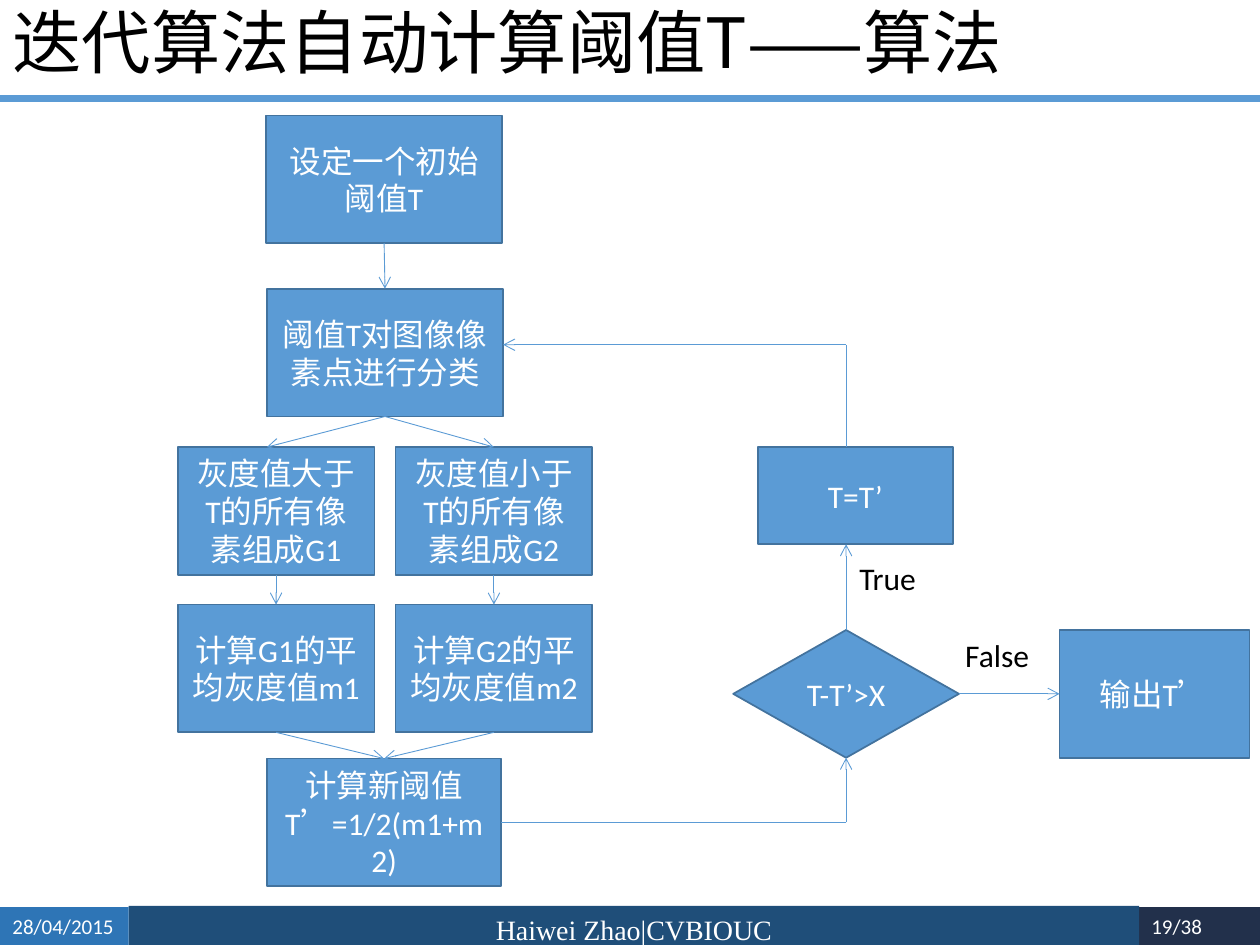
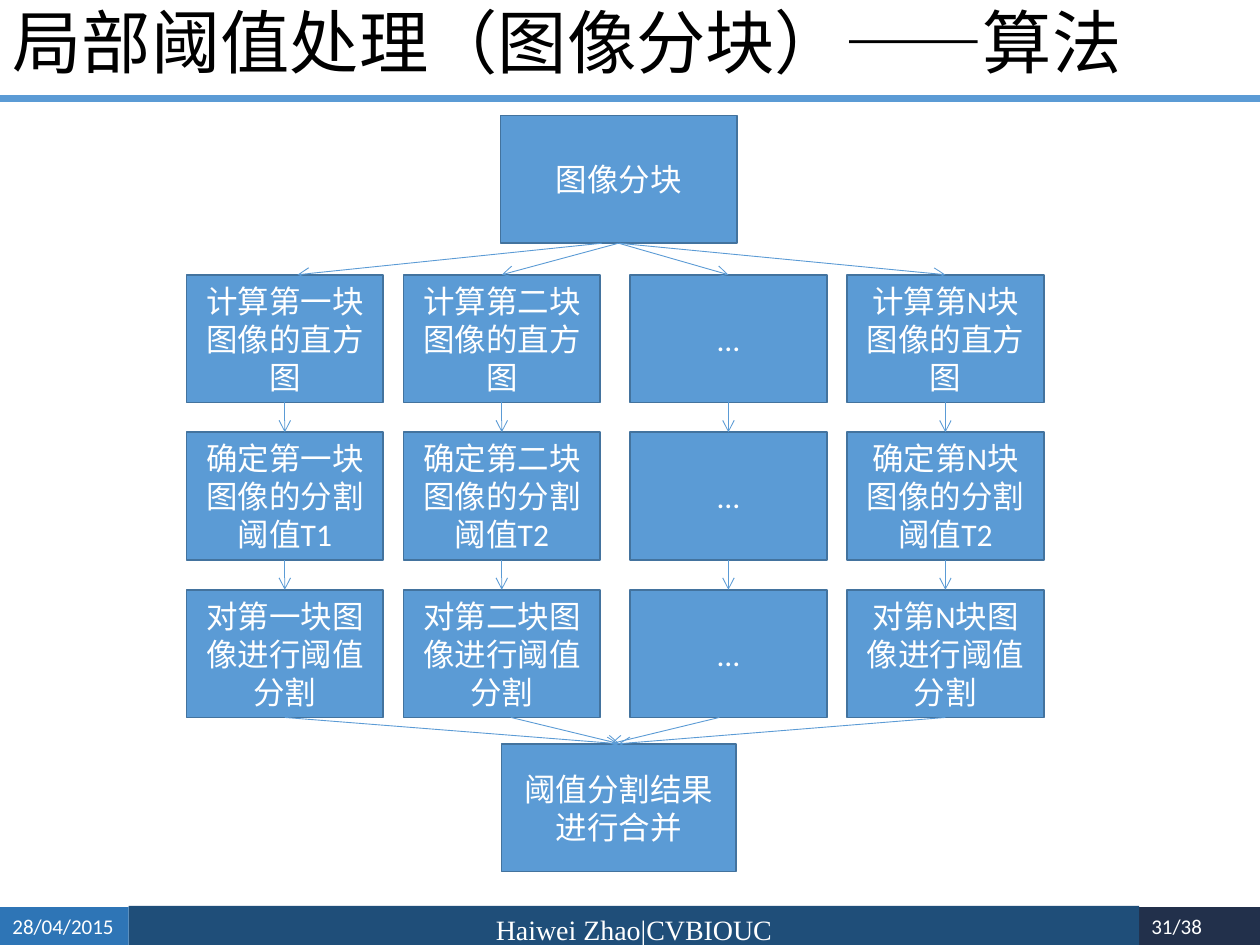
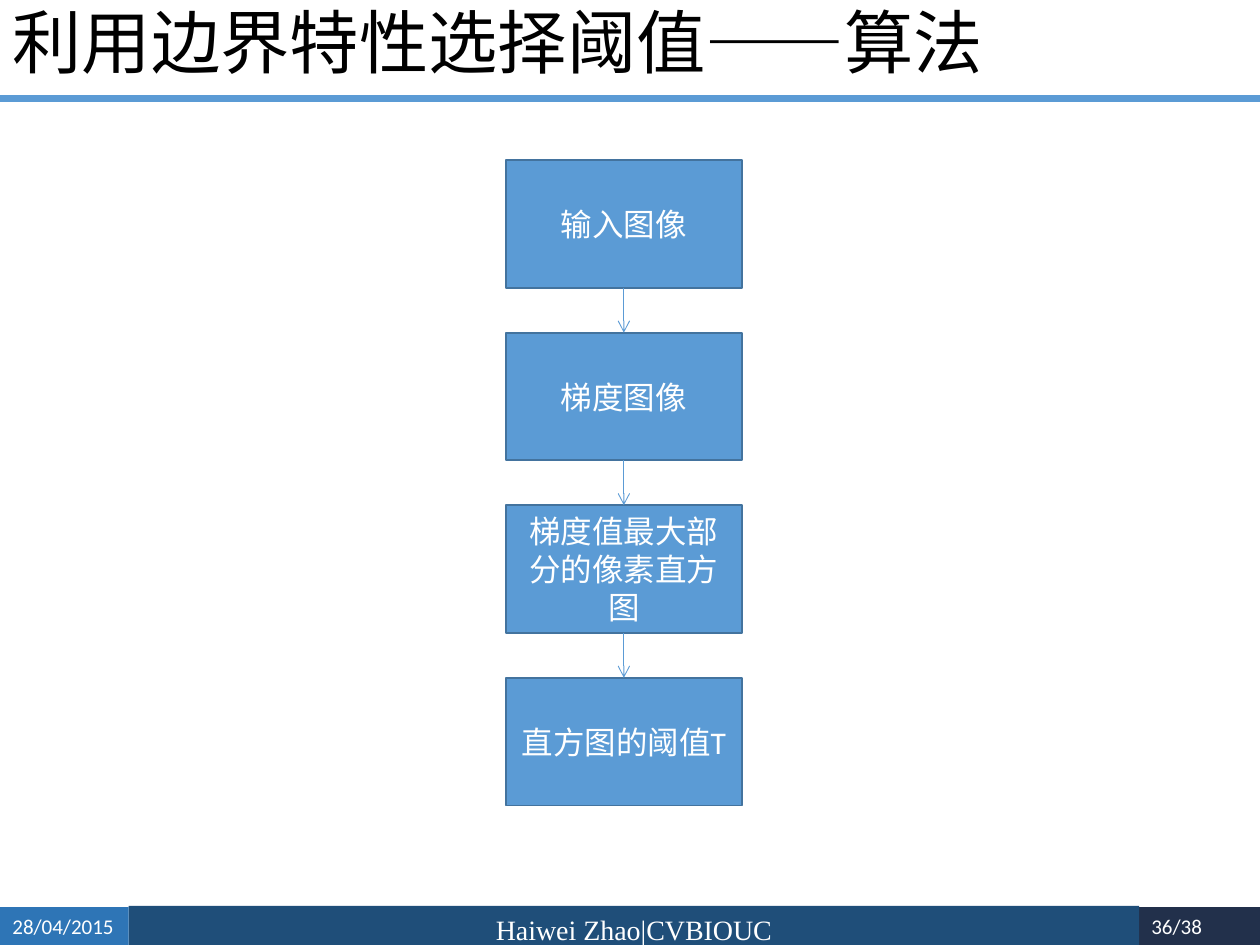
import lxml.etree
import pptx
import pptx.dml.color
import pptx.enum.shapes
import pptx.enum.text
import pptx.oxml.ns
import pptx.util

WHITE = pptx.dml.color.RGBColor(0xFF, 0xFF, 0xFF)
BLACK = pptx.dml.color.RGBColor(0x00, 0x00, 0x00)
BLUE = pptx.dml.color.RGBColor(0x5B, 0x9B, 0xD5)
BOX_EDGE = pptx.dml.color.RGBColor(0x43, 0x73, 0x9E)
DATE_BLUE = pptx.dml.color.RGBColor(0x2E, 0x75, 0xB6)
AUTHOR_BLUE = pptx.dml.color.RGBColor(0x1F, 0x4E, 0x79)
PAGE_NAVY = pptx.dml.color.RGBColor(0x22, 0x30, 0x4B)

LATIN_FONT = "Calibri"
CHINESE_FONT = "Noto Sans CJK SC"
FONT_SWITCH = "¦"
TOP, LEFT, BOTTOM, RIGHT = range(4)
ALIGN = pptx.enum.text.PP_ALIGN
ANCHOR = pptx.enum.text.MSO_ANCHOR
SHAPE = pptx.enum.shapes.MSO_SHAPE
BOX_HEIGHT = 73
NARROW = 112.5
WIDE = 135


def write_text(shape, text, size=18, color=WHITE, font=LATIN_FONT,
               align=ALIGN.CENTER, anchor=ANCHOR.MIDDLE, spacing=None):
    frame = shape.text_frame
    frame.word_wrap = True
    frame.auto_size = pptx.enum.text.MSO_AUTO_SIZE.NONE
    frame.vertical_anchor = anchor
    paragraph = frame.paragraphs[0]
    paragraph.alignment = align
    paragraph.line_spacing = spacing
    for index, part in enumerate(text.split(FONT_SWITCH)):
        run = paragraph.add_run()
        run.text = part
        run.font.size = pptx.util.Pt(size)
        run.font.color.rgb = color
        run.font.name = CHINESE_FONT if index % 2 else font
        east_asian = lxml.etree.SubElement(run.font._element, pptx.oxml.ns.qn("a:ea"))
        east_asian.set("typeface", CHINESE_FONT)


def draw_line(slide, shapes, start, end, width=0.5, arrow=True):
    ends = [(0, 0) if point[0] in shapes else point for point in (start, end)]
    connector = slide.shapes.add_connector(
        pptx.enum.shapes.MSO_CONNECTOR.STRAIGHT,
        *[pptx.util.Pt(value) for point in ends for value in point])
    if start[0] in shapes:
        connector.begin_connect(shapes[start[0]], start[1])
    if end[0] in shapes:
        connector.end_connect(shapes[end[0]], end[1])
    connector.line.color.rgb = BLUE
    connector.line.width = pptx.util.Pt(width)
    if arrow:
        outline = connector.line._get_or_add_ln()
        lxml.etree.SubElement(outline, pptx.oxml.ns.qn("a:tailEnd")).set("type", "arrow")
    lxml.etree.SubElement(connector._element.spPr, pptx.oxml.ns.qn("a:effectLst"))


iteration_boxes = {
    "initial": ("设定一个初始阈值T", 152, 66, WIDE, BOX_HEIGHT),
    "classify": ("阈值T对图像像素点进行分类", 152.5, 165, WIDE, BOX_HEIGHT),
    "group 1": ("灰度值大于T的所有像素组成G1", 101.5, 255.5, NARROW, BOX_HEIGHT),
    "group 2": ("灰度值小于T的所有像素组成G2", 226, 255.5, NARROW, BOX_HEIGHT),
    "mean 1": ("计算G1的平均灰度值m1", 101.5, 345.5, NARROW, BOX_HEIGHT),
    "mean 2": ("计算G2的平均灰度值m2", 226, 345.5, NARROW, BOX_HEIGHT),
    "new": ("计算新阈值T¦’¦=1/2(m1+m2)", 152.5, 433.5, WIDE - 1, BOX_HEIGHT),
    "test": ("T-T’>X", 419, 360, 129, BOX_HEIGHT),
    "update": ("T=T’", 433, 255.5, 111.5, 55.5),
    "output": ("输出T¦’", 605.5, 360, 108.5, BOX_HEIGHT),
}
iteration_links = [
    (("initial", BOTTOM), ("classify", TOP)),
    (("classify", BOTTOM), (152.5, 255.5)),
    (("classify", BOTTOM), ("group 2", TOP)),
    (("group 1", BOTTOM), ("mean 1", TOP)),
    (("group 2", BOTTOM), ("mean 2", TOP)),
    (("mean 1", BOTTOM), ("new", TOP)),
    (("mean 2", BOTTOM), ("new", TOP)),
    (("new", RIGHT), (483.5, 470), 0.5, False),
    ((483.5, 470), ("test", BOTTOM)),
    (("test", TOP), (483.5, 311)),
    (("test", RIGHT), ("output", LEFT)),
    ((483.5, 255.5), (483.5, 197), 0.5, False),
    ((483.5, 197), (287.5, 197)),
]
iteration_labels = [("True", 484, 316), ("False", 544.5, 360)]

block_boxes = {
    "split": ("图像分块", 286, 66, WIDE, BOX_HEIGHT),
    "merge": ("阈值分割结果进行合并", 286.5, 425, WIDE - 1, BOX_HEIGHT),
}
block_links = []
block_columns = [
    (106.5, "一", "T1", (344, 139), (170, 157), ("block 0 2", BOTTOM), ("merge", TOP)),
    (230.5, "二", "T2", ("split", BOTTOM), ("block 1 0", TOP), (292, 410), (354, 425)),
    (360, "", "", ("split", BOTTOM), ("block 2 0", TOP), (411, 410), (349, 425)),
    (484, "N", "T2", ("split", BOTTOM), ("block 3 0", TOP), ("block 3 2", BOTTOM), ("merge", TOP)),
]
block_steps = ["计算第{}块图像的直方图", "确定第{}块图像的分割阈值{}", "对第{}块图像进行阈值分割"]
for column, (left, number, threshold, fan_start, fan_end, join_start, join_end) in enumerate(block_columns):
    for row, step in enumerate(block_steps):
        text = step.format(number, threshold) if number else "…"
        block_boxes[f"block {column} {row}"] = (text, left, 157 + 90 * row, NARROW, BOX_HEIGHT)
        if row:
            block_links.append(((f"block {column} {row - 1}", BOTTOM), (f"block {column} {row}", TOP)))
    block_links += [(fan_start, fan_end), (join_start, join_end)]

edge_steps = ["输入图像", "梯度图像", "梯度值最大部分的像素直方图", "直方图的阈值T"]
edge_boxes = {step: (step, 289, 91.5 + 98.6 * row, WIDE, BOX_HEIGHT)
              for row, step in enumerate(edge_steps)}
edge_links = [((upper, BOTTOM), (lower, TOP)) for upper, lower in zip(edge_steps, edge_steps[1:])]

slides = [
    ("迭代算法¦自动计算阈值T——算法", "19/38", iteration_boxes, iteration_links, iteration_labels),
    ("局部阈值处理（图像分块）——算法", "31/38", block_boxes, block_links, []),
    ("利用边界特性选择阈值——算法", "36/38", edge_boxes, edge_links, []),
]
footer_bands = [
    (651, 518.4, 69, 21.6, PAGE_NAVY, "", {}),
    (73.5, 517.7, 577.5, 26.5, AUTHOR_BLUE, "Haiwei Zhao|CVBIOUC",
     {"size": 16, "font": "Times New Roman"}),
    (0, 518.4, 73.5, 21.6, DATE_BLUE, "28/04/2015", {"size": 12, "align": ALIGN.LEFT}),
]

presentation = pptx.Presentation()
presentation.slide_width = pptx.util.Pt(720)
presentation.slide_height = pptx.util.Pt(540)

for title_text, page, boxes, links, labels in slides:
    slide = presentation.slides.add_slide(presentation.slide_layouts[5])

    for left, top, width, height, color, text, style in footer_bands:
        band = slide.shapes.add_shape(SHAPE.RECTANGLE, *map(pptx.util.Pt, (left, top, width, height)))
        band.shadow.inherit = False
        band.fill.solid()
        band.fill.fore_color.rgb = color
        band.line.fill.background()
        if text:
            write_text(band, text, anchor=ANCHOR.TOP, **style)
    page_number = slide.shapes.add_textbox(*map(pptx.util.Pt, (641, 518.4, 53, 21.6)))
    write_text(page_number, page, size=12, align=ALIGN.RIGHT, anchor=ANCHOR.TOP)
    draw_line(slide, {}, (0, 56.3), (720, 56.3), width=4.5, arrow=False)

    title = slide.shapes.title
    title.left, title.top, title.width, title.height = map(pptx.util.Pt, (0, 0, 659.5, 52.5))
    title.fill.solid()
    title.fill.fore_color.rgb = WHITE
    write_text(title, title_text, size=39.6, color=BLACK, align=ALIGN.LEFT, spacing=0.9)

    shapes = {}
    for name, (text, *bounds) in boxes.items():
        preset = SHAPE.DIAMOND if name == "test" else SHAPE.RECTANGLE
        box = slide.shapes.add_shape(preset, *map(pptx.util.Pt, bounds))
        box.shadow.inherit = False
        box.fill.solid()
        box.fill.fore_color.rgb = BLUE
        box.line.color.rgb = BOX_EDGE
        box.line.width = pptx.util.Pt(1)
        write_text(box, text)
        shapes[name] = box

    for link in links:
        draw_line(slide, shapes, *link)

    for text, left, top in labels:
        label = slide.shapes.add_textbox(*map(pptx.util.Pt, (left, top, 60.5, 29)))
        write_text(label, text, color=BLACK, align=ALIGN.LEFT, anchor=ANCHOR.TOP)

presentation.save("out.pptx")
